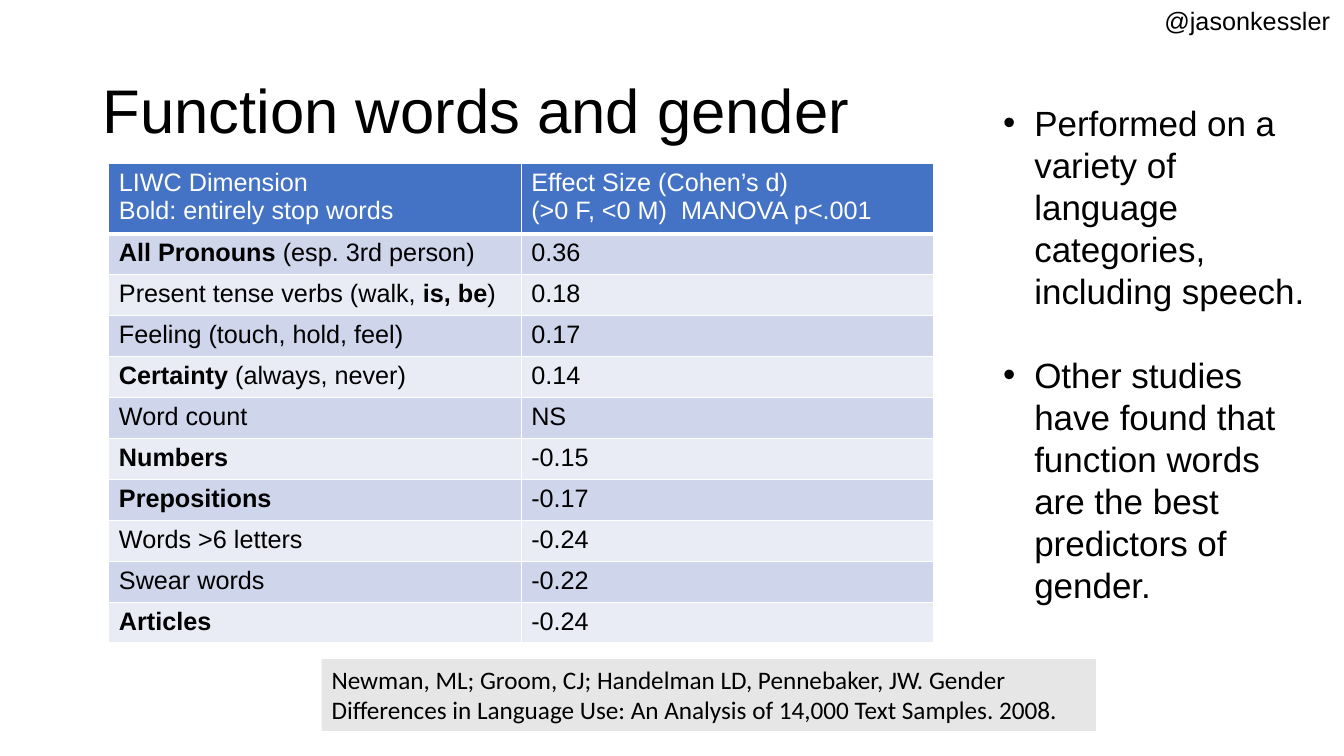
from dataclasses import dataclass

from lxml import etree
from pptx import Presentation
from pptx.dml.color import RGBColor
from pptx.enum.shapes import MSO_SHAPE
from pptx.enum.text import MSO_ANCHOR, PP_ALIGN
from pptx.oxml.ns import qn
from pptx.util import Inches, Pt

RECTANGLE = MSO_SHAPE.RECTANGLE
TOP, MIDDLE = MSO_ANCHOR.TOP, MSO_ANCHOR.MIDDLE
LEFT = PP_ALIGN.LEFT


@dataclass(frozen=True)
class Theme:
    font: str = "Arial"
    citation_font: str = "Calibri"
    text: str = "000000"
    white: str = "FFFFFF"
    header: str = "4472C4"
    bands: tuple = ("CFD5EA", "E9EBF5")
    citation_fill: str = "E7E6E6"
    title_size: int = 44
    bullet_size: int = 25
    bullet_leading: int = 30
    body_size: int = 18


class SlideBuilder:
    def __init__(self, slide, theme):
        self.shapes = slide.shapes
        self.theme = theme

    def add_runs(self, p, runs, size=None, color=None, font=None):
        """Add (text, bold) runs to a paragraph."""
        for text, bold in runs:
            r = p.add_run()
            r.text = text
            r.font.name = font or self.theme.font
            r.font.size = Pt(size or self.theme.body_size)
            r.font.bold = bold
            r.font.color.rgb = RGBColor.from_string(color or self.theme.text)

    def text_box(self, box, wrap=True, anchor=TOP):
        tf = self.shapes.add_textbox(*map(Inches, box)).text_frame
        tf.word_wrap = wrap
        tf.vertical_anchor = anchor
        return tf

    def title(self, text, box):
        p = self.text_box(box, anchor=MIDDLE).paragraphs[0]
        p.line_spacing = 0.9
        self.add_runs(p, [(text, False)], self.theme.title_size)

    def label(self, text, box):
        p = self.text_box(box, wrap=False).paragraphs[0]
        self.add_runs(p, [(text, False)])

    def bullets(self, items, box, indent=0.31):
        tf = self.text_box(box)
        for i, item in enumerate(items):
            p = tf.add_paragraph() if i else tf.paragraphs[0]
            p.line_spacing = Pt(self.theme.bullet_leading)
            if i:
                p.space_before = Pt(self.theme.bullet_leading)
            pPr = p._p.get_or_add_pPr()
            pPr.set("marL", str(Inches(indent)))
            pPr.set("indent", str(-Inches(indent)))
            etree.SubElement(pPr, qn("a:buFont"), typeface=self.theme.font)
            etree.SubElement(pPr, qn("a:buChar"), char="•")
            self.add_runs(p, [(item, False)], self.theme.bullet_size)

    def citation(self, text, box):
        sp = self.shapes.add_shape(RECTANGLE, *map(Inches, box))
        sp.shadow.inherit = False
        sp.fill.solid()
        sp.fill.fore_color.rgb = RGBColor.from_string(self.theme.citation_fill)
        sp.line.fill.background()
        tf = sp.text_frame
        tf.word_wrap = True
        tf.vertical_anchor = TOP
        tf.paragraphs[0].alignment = LEFT
        self.add_runs(tf.paragraphs[0], [(text, False)], font=self.theme.citation_font)

    def cell(self, cell, lines, fill, color, bottom=1):
        # Borders come before the fill in the cell properties
        tcPr = cell._tc.get_or_add_tcPr()
        for side, width in (("L", 1), ("R", 1), ("T", 1), ("B", bottom)):
            ln = etree.SubElement(tcPr, qn(f"a:ln{side}"), w=str(Pt(width)))
            solid = etree.SubElement(ln, qn("a:solidFill"))
            etree.SubElement(solid, qn("a:srgbClr"), val=self.theme.white)
        cell.fill.solid()
        cell.fill.fore_color.rgb = RGBColor.from_string(fill)
        tf = cell.text_frame
        for i, runs in enumerate(lines):
            p = tf.add_paragraph() if i else tf.paragraphs[0]
            self.add_runs(p, runs, color=color)

    def table(self, header, rows, box, header_height):
        theme = self.theme
        table = self.shapes.add_table(len(rows) + 1, len(header),
                                      *map(Inches, box)).table
        for column in table.columns:
            column.width = Inches(box[2] / len(header))
        for row in table.rows:
            row.height = Inches((box[3] - header_height) / len(rows))
        table.rows[0].height = Inches(header_height)
        for c, lines in enumerate(header):
            self.cell(table.cell(0, c), [[(line, False)] for line in lines],
                      theme.header, theme.white, bottom=3)
        for r, (dimension, effect) in enumerate(rows):
            for c, runs in enumerate((dimension, [(effect, False)])):
                self.cell(table.cell(r + 1, c), [runs],
                          theme.bands[r % 2], theme.text)


HEADER = [
    ("LIWC Dimension", "Bold: entirely stop words"),
    ("Effect Size (Cohen’s d)", "(>0 F, <0 M)  MANOVA p<.001"),
]
EFFECTS = [
    ([("All Pronouns ", True), ("(esp. 3rd person)", False)], "0.36"),
    ([("Present tense verbs (walk, ", False), ("is, be", True), (")", False)], "0.18"),
    ([("Feeling (touch, hold, feel)", False)], "0.17"),
    ([("Certainty ", True), ("(always, never)", False)], "0.14"),
    ([("Word count", False)], "NS"),
    ([("Numbers", True)], "-0.15"),
    ([("Prepositions", True)], "-0.17"),
    ([("Words >6 letters", False)], "-0.24"),
    ([("Swear words", False)], "-0.22"),
    ([("Articles", True)], "-0.24"),
]
FINDINGS = [
    "Performed on a variety of language categories, including speech.",
    "Other studies have found that function words are the best predictors of gender.",
]
CITATION = ("Newman, ML; Groom, CJ; Handelman LD, Pennebaker, JW. Gender Differences "
            "in Language Use: An Analysis of 14,000 Text Samples. 2008.")


def main():
    prs = Presentation()
    prs.slide_width, prs.slide_height = Inches(13.33), Inches(7.5)
    s = SlideBuilder(prs.slides.add_slide(prs.slide_layouts[6]), Theme())

    # Title and source
    s.title("Function words and gender", (0.92, 0.4, 11.5, 1.45))
    s.citation(CITATION, (3.19, 6.54, 7.68, 0.71))

    # Effect sizes by word category
    s.table(HEADER, EFFECTS, (1.08, 1.62, 8.18, 4.76), header_height=0.7)

    # Findings and author handle
    s.bullets(FINDINGS, (9.85, 0.96, 3.19, 5.57))
    s.label("@jasonkessler", (11.45, 0, 1.86, 0.4))

    prs.save("out.pptx")


if __name__ == "__main__":
    main()
